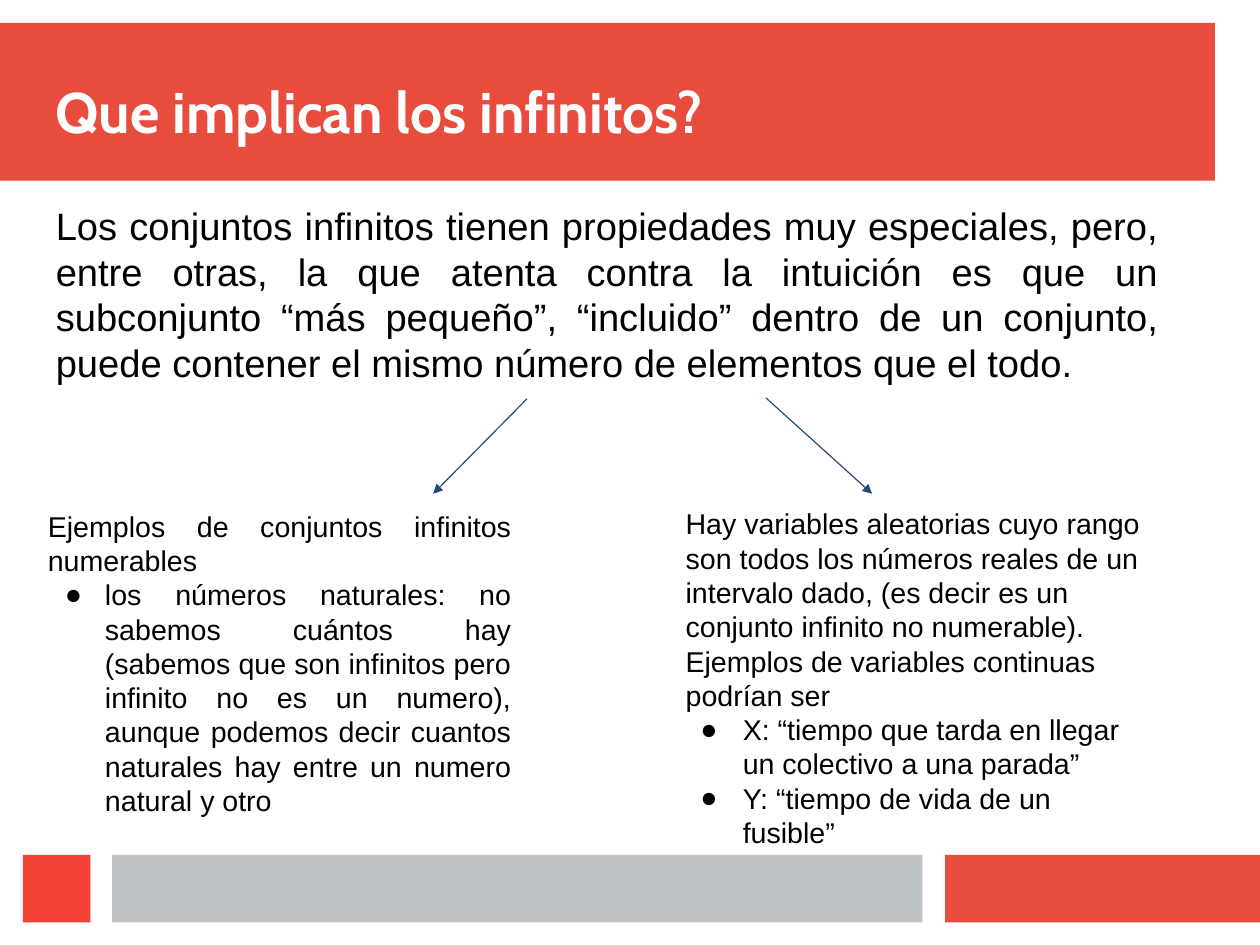
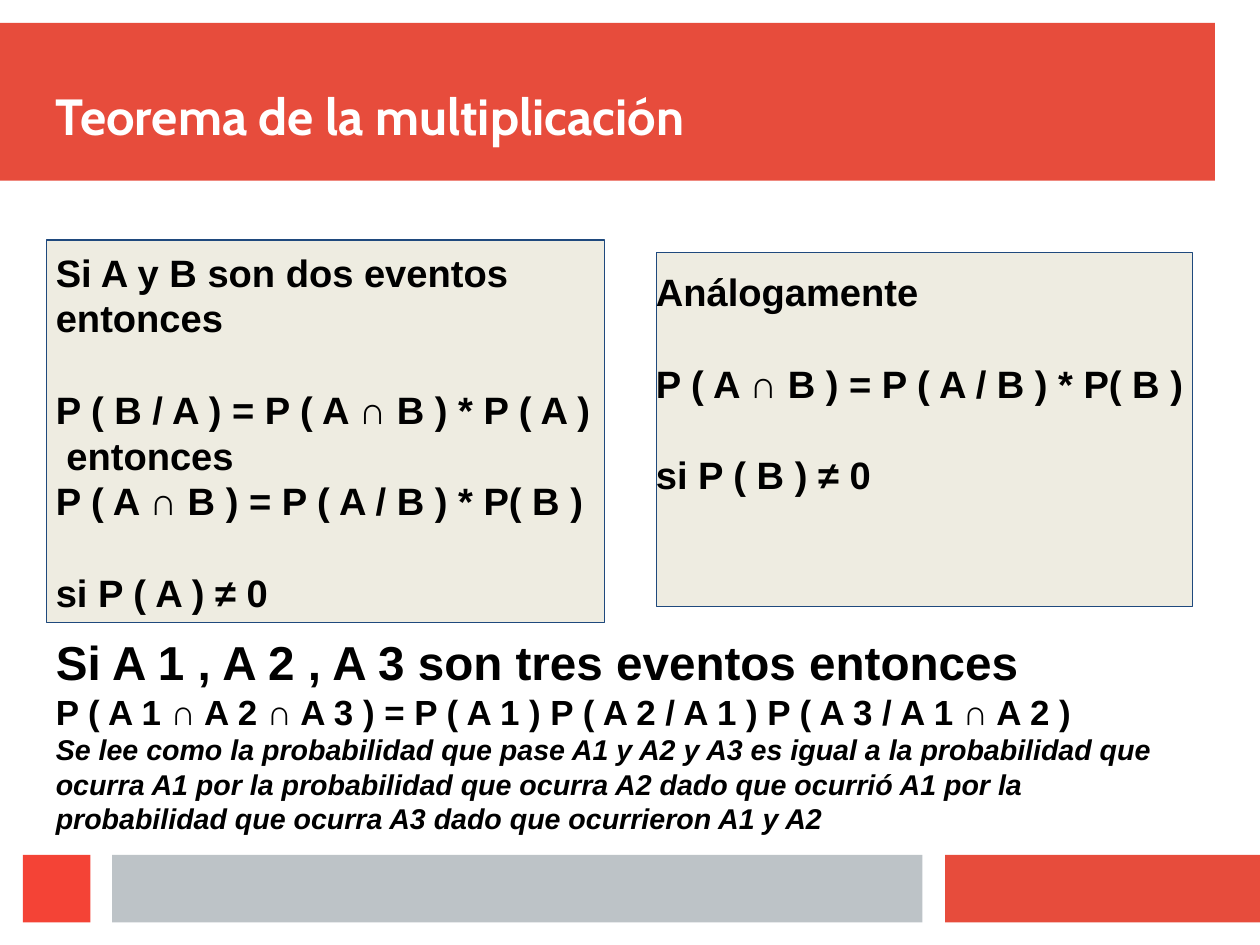
from lxml.etree import SubElement
from pptx import Presentation
from pptx.dml.color import RGBColor
from pptx.enum.shapes import MSO_CONNECTOR, MSO_SHAPE
from pptx.enum.text import MSO_ANCHOR, PP_ALIGN
from pptx.oxml.ns import qn
from pptx.util import Inches, Pt

RED, BRIGHT, GRAY = "E74C3C", "F44336", "BDC3C7"
NAVY, CREAM, BLACK, WHITE = "1F497D", "EEECE1", "000000", "FFFFFF"
BANDS = [
    (0, 0.2, 10.63, 1.38, RED),
    (8.27, 7.48, 2.76, 0.59, RED),
    (0.98, 7.48, 7.09, 0.59, GRAY),
    (0.2, 7.48, 0.59, 0.59, BRIGHT),
]
LEADING = 1.2


def color(text):
    return RGBColor.from_string(text)


class Deck:
    def __init__(self):
        self.file = Presentation()
        self.file.slide_width = Inches(28 / 2.54)
        self.file.slide_height = Inches(21 / 2.54)
        self.slide = None

    def page(self):
        self.slide = self.file.slides.add_slide(self.file.slide_layouts[6])
        for left, top, width, height, fill in BANDS:
            self.panel(left, top, width, height, fill)

    def panel(self, left, top, width, height, fill, line=None):
        box = self.slide.shapes.add_shape(
            MSO_SHAPE.RECTANGLE, *map(Inches, (left, top, width, height)))
        box.shadow.inherit = False
        box.fill.solid()
        box.fill.fore_color.rgb = color(fill)
        if line:
            box.line.color.rgb = color(line)
            box.line.width = Pt(0.75)
        else:
            box.line.fill.background()

    def frame(self, left, top, width, height):
        box = self.slide.shapes.add_textbox(
            *map(Inches, (left, top, width, height)))
        frame = box.text_frame
        frame.word_wrap = True
        frame.margin_left = frame.margin_right = Inches(0.1)
        frame.margin_top = frame.margin_bottom = Inches(0.1)
        return frame

    def style(self, para, text, size, name="Arial", fill=BLACK, bold=False):
        para.text = text
        font = para.font
        font.name, font.size, font.bold = name, Pt(size), bold
        font.color.rgb = color(fill)

    def title(self, text, size):
        frame = self.frame(0.39, 0.39, 10.24, 0.98)
        frame.vertical_anchor = MSO_ANCHOR.BOTTOM
        self.style(frame.paragraphs[0], text, size, "Cabin", WHITE, True)

    def body(self, left, top, width, height, items, size,
             bold=False, align=PP_ALIGN.LEFT):
        frame = self.frame(left, top, width, height)
        for num, (text, look) in enumerate(items):
            para = frame.add_paragraph() if num else frame.paragraphs[0]
            points = look.get("size", size)
            self.style(para, text, points, bold=bold)
            para.font.italic = look.get("italic", False)
            para.alignment = align
            para.line_spacing = Pt(LEADING * points)
            if look.get("gap"):
                para.space_before = Pt(LEADING * points)
            if "hang" in look:
                self.bullet(para, look["hang"])

    def bullet(self, para, hang):
        props = para._p.get_or_add_pPr()
        props.set("marL", str(Inches(0.5)))
        props.set("indent", str(-Inches(hang)))
        tint = SubElement(props, qn("a:buClr"))
        SubElement(tint, qn("a:srgbClr")).set("val", BLACK)
        SubElement(props, qn("a:buFont")).set("typeface", "Arial")
        SubElement(props, qn("a:buChar")).set("char", "●")

    def arrow(self, *ends):
        link = self.slide.shapes.add_connector(
            MSO_CONNECTOR.STRAIGHT, *map(Inches, ends))
        link.line.color.rgb = color(NAVY)
        link.line.width = Pt(0.75)
        SubElement(link.line._get_or_add_ln(), qn("a:tailEnd")).set("type", "triangle")
        SubElement(link._element.spPr, qn("a:effectLst"))

    def save(self):
        self.file.save("out.pptx")


def sets(deck):
    deck.page()
    deck.title("Que implican los infinitos?", 36)
    deck.body(0.39, 1.67, 9.84, 1.4, [
        ("Los conjuntos infinitos tienen propiedades muy especiales, pero, "
         "entre otras, la que atenta contra la intuición es que un "
         "subconjunto “más pequeño”, “incluido” dentro de un conjunto, "
         "puede contener el mismo número de elementos que el todo.", {}),
    ], 24, align=PP_ALIGN.JUSTIFY)
    deck.body(0.32, 4.35, 4.25, 3.05, [
        ("Ejemplos de conjuntos infinitos numerables", {}),
        ("los números naturales: no sabemos cuántos hay (sabemos que son "
         "infinitos pero infinito no es un numero), aunque podemos decir "
         "cuantos naturales hay entre un numero natural y otro",
         {"hang": 0.35}),
    ], 18, align=PP_ALIGN.JUSTIFY)
    deck.arrow(4.61, 3.49, 3.79, 4.32)
    deck.arrow(6.7, 3.48, 7.63, 4.32)
    deck.body(5.9, 4.33, 4.25, 2.3, [
        ("Hay variables aleatorias cuyo rango son todos los números reales "
         "de un intervalo dado, (es decir es un conjunto infinito no "
         "numerable). Ejemplos de variables continuas podrían ser", {}),
        ("X: “tiempo que tarda en llegar un colectivo a una parada”",
         {"hang": 0.37}),
        ("Y: “tiempo de vida de un fusible”", {"hang": 0.37}),
    ], 18)


def theorem(deck):
    gap = {"gap": True}
    rule = "P ( A ∩ B ) = P ( A / B ) * P( B )"
    deck.page()
    deck.panel(5.74, 2.21, 4.69, 3.1, CREAM, NAVY)
    deck.panel(0.41, 2.1, 4.88, 3.35, CREAM, NAVY)
    deck.title("Teorema de la multiplicación", 32)
    deck.body(0.39, 2.08, 4.99, 3.47, [
        ("Si A y B son dos eventos entonces", {}),
        ("P ( B / A ) = P ( A ∩ B ) * P ( A )", gap),
        (" entonces", {}),
        (rule, {}),
        ("si P ( A ) ≠ 0", gap),
    ], 24, bold=True)
    deck.body(0.39, 5.44, 10.04, 1.84, [
        ("Si A 1 , A 2 , A 3 son tres eventos entonces", {"size": 30}),
        ("P ( A 1 ∩ A 2 ∩ A 3 ) = P ( A 1 ) P ( A 2 / A 1 ) "
         "P ( A 3 / A 1 ∩ A 2 )", {"size": 22}),
        ("Se lee como la probabilidad que pase A1 y A2 y A3 es igual a la "
         "probabilidad que ocurra A1 por la probabilidad que ocurra A2 dado "
         "que ocurrió A1 por la probabilidad que ocurra A3 dado que "
         "ocurrieron A1 y A2", {"italic": True}),
    ], 18, bold=True)
    deck.body(5.64, 2.25, 4.9, 2.44, [
        ("Análogamente", {}),
        (rule, gap),
        ("si P ( B ) ≠ 0", gap),
    ], 24, bold=True)


def main():
    deck = Deck()
    sets(deck)
    theorem(deck)
    deck.save()


if __name__ == "__main__":
    main()
